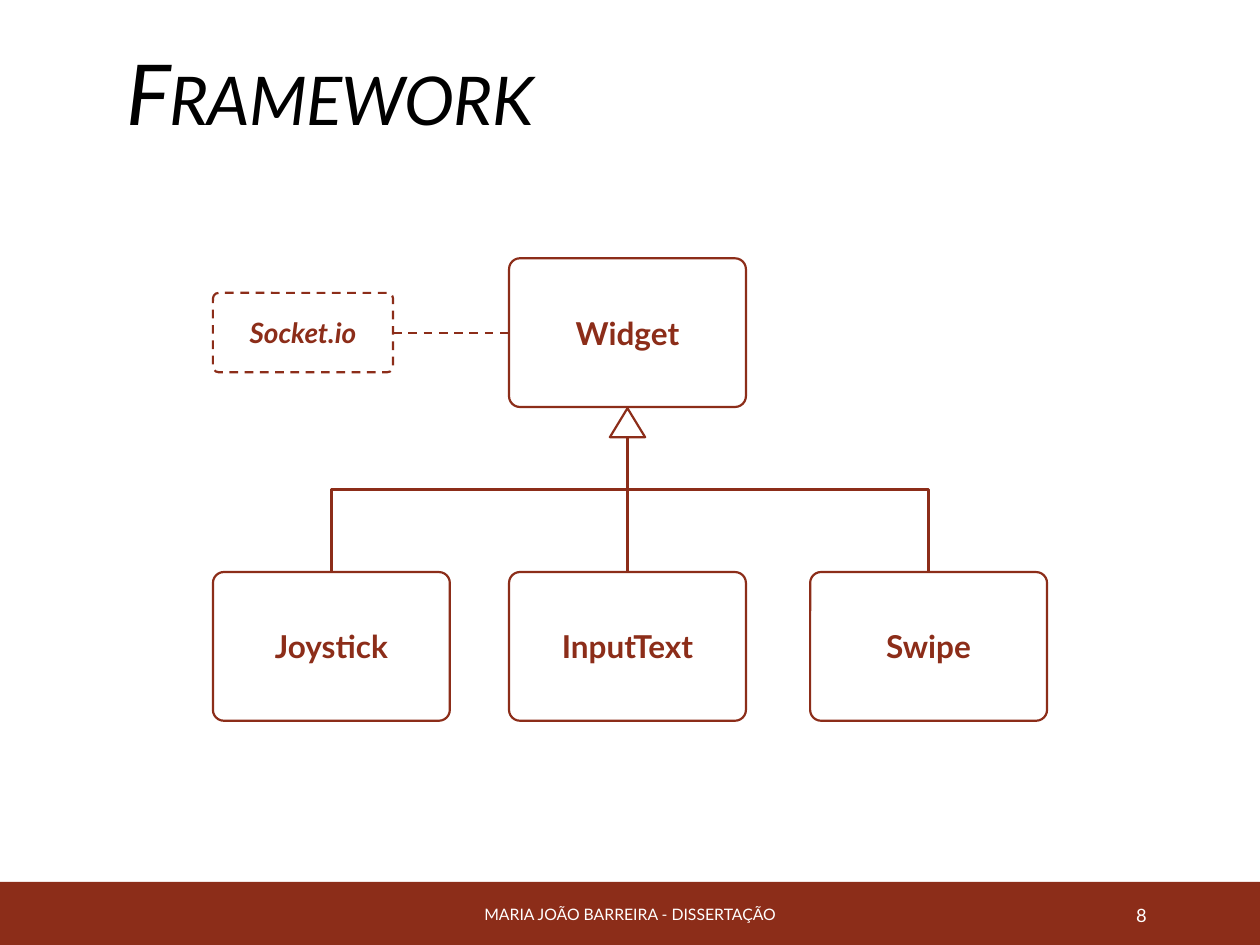
import pptx
import pptx.dml.color
import pptx.enum.dml
import pptx.enum.shapes
import pptx.enum.text
import pptx.oxml.ns
import pptx.oxml.xmlchemy
import pptx.util

Inches = pptx.util.Inches
Pt = pptx.util.Pt
SHAPE = pptx.enum.shapes.MSO_SHAPE
CONNECTOR = pptx.enum.shapes.MSO_CONNECTOR
ALIGN = pptx.enum.text.PP_ALIGN
DASH = pptx.enum.dml.MSO_LINE.DASH
qn = pptx.oxml.ns.qn

RUST = pptx.dml.color.RGBColor(0x8C, 0x2D, 0x19)
WHITE = pptx.dml.color.RGBColor(0xFF, 0xFF, 0xFF)
BLACK = pptx.dml.color.RGBColor(0, 0, 0)

CLASS_WIDTH, CLASS_HEIGHT = 1.88, 1.18
WIDGET_LEFT, WIDGET_TOP = 4.04, 2.05
CHILD_TOP = 4.54
CHILDREN = {"Swipe": 6.43, "InputText": WIDGET_LEFT, "Joystick": 1.69}
SOCKET_LEFT, SOCKET_WIDTH, SOCKET_HEIGHT = 1.69, 1.43, 0.63
ARROW_WIDTH, ARROW_HEIGHT = 0.28, 0.23


class ClassDiagram:
    font = "Lato"
    line_width = Pt(1.25)

    def __init__(self, page):
        self.page = page

    def set_text(self, shape, text, size, color, align, bold=False, italic=False):
        frame = shape.text_frame
        frame.text = text
        frame.word_wrap = True
        frame.vertical_anchor = pptx.enum.text.MSO_ANCHOR.MIDDLE
        para = frame.paragraphs[0]
        para.alignment = align
        span = para.runs[0]
        span.font.name = self.font
        span.font.size = Pt(size)
        span.font.color.rgb = color
        span.font.bold = bold
        span.font.italic = italic
        return para

    def title(self, text):
        box = self.page.shapes.title
        box.left, box.top = Inches(0.9), Inches(0)
        box.width, box.height = Inches(8.25), Inches(1.59)
        para = self.set_text(box, text, 48, BLACK, ALIGN.LEFT, italic=True)
        para.line_spacing = 0.85
        properties = para.runs[0].font._element
        properties.set("cap", "small")
        properties.set("spc", "-50")

    def label(self, text, left, width, size, align):
        box = self.page.shapes.add_textbox(
            Inches(left), Inches(7.06), Inches(width), Inches(0.4))
        self.set_text(box, text, size, WHITE, align)

    def shape(self, kind, left, top, width, height, fill=None, line=RUST):
        shape = self.page.shapes.add_shape(
            kind, Inches(left), Inches(top), Inches(width), Inches(height))
        shape.shadow.inherit = False
        if fill is None:
            shape.fill.background()
        else:
            shape.fill.solid()
            shape.fill.fore_color.rgb = fill
        if line is None:
            shape.line.fill.background()
        else:
            shape.line.color.rgb = line
            shape.line.width = self.line_width
        return shape

    def node(self, text, left, top, width=CLASS_WIDTH, height=CLASS_HEIGHT,
             size=18, dashed=False):
        box = self.shape(SHAPE.ROUNDED_RECTANGLE, left, top, width, height)
        box.adjustments[0] = 0.073
        if dashed:
            box.line.dash_style = DASH
        self.set_text(box, text, size, RUST, ALIGN.CENTER, bold=True, italic=dashed)

    def connector(self, start, end, kind=CONNECTOR.STRAIGHT, dashed=False):
        link = self.page.shapes.add_connector(
            kind, *(Inches(value) for value in (*start, *end)))
        link.line.color.rgb = RUST
        link.line.width = self.line_width
        if dashed:
            link.line.dash_style = DASH
        properties = link._element.spPr
        properties.append(pptx.oxml.xmlchemy.OxmlElement("a:effectLst"))
        return link

    def vertical_elbow(self, start, end):
        """Draw an elbow that leaves vertically: a plain one turned by 90 degrees."""
        center_x, center_y = (start[0] + end[0]) / 2, (start[1] + end[1]) / 2
        dx, dy = start[0] - center_x, start[1] - center_y
        link = self.connector((center_x + dy, center_y - dx),
                              (center_x - dy, center_y + dx), CONNECTOR.ELBOW)
        link._element.spPr.find(qn("a:xfrm")).set("rot", str(90 * 60000))


def main():
    deck = pptx.Presentation()
    deck.slide_width, deck.slide_height = Inches(10), Inches(7.5)
    diagram = ClassDiagram(deck.slides.add_slide(deck.slide_layouts[5]))

    diagram.shape(SHAPE.RECTANGLE, 0, 7, 10, 0.5, fill=RUST, line=None)
    diagram.title("Framework")
    diagram.label("8", 8.12, 1.08, 10.5, ALIGN.RIGHT)
    diagram.label("MARIA JOÃO BARREIRA - DISSERTAÇÃO", 3.02, 3.96, 9, ALIGN.CENTER)

    diagram.node("Widget", WIDGET_LEFT, WIDGET_TOP)
    for name, left in CHILDREN.items():
        diagram.node(name, left, CHILD_TOP)
    middle = WIDGET_TOP + CLASS_HEIGHT / 2
    diagram.node("Socket.io", SOCKET_LEFT, middle - SOCKET_HEIGHT / 2,
                 SOCKET_WIDTH, SOCKET_HEIGHT, size=16, dashed=True)

    parent = (WIDGET_LEFT + CLASS_WIDTH / 2, WIDGET_TOP + CLASS_HEIGHT)
    for left in CHILDREN.values():
        child = (left + CLASS_WIDTH / 2, CHILD_TOP)
        if left == WIDGET_LEFT:
            diagram.connector(child, parent)
        else:
            diagram.vertical_elbow(child, parent)
    diagram.connector((SOCKET_LEFT + SOCKET_WIDTH, middle),
                      (WIDGET_LEFT, middle), dashed=True)
    diagram.shape(SHAPE.ISOSCELES_TRIANGLE, parent[0] - ARROW_WIDTH / 2,
                  parent[1] + 0.01, ARROW_WIDTH, ARROW_HEIGHT, fill=WHITE)

    deck.save("out.pptx")


if __name__ == "__main__":
    main()
